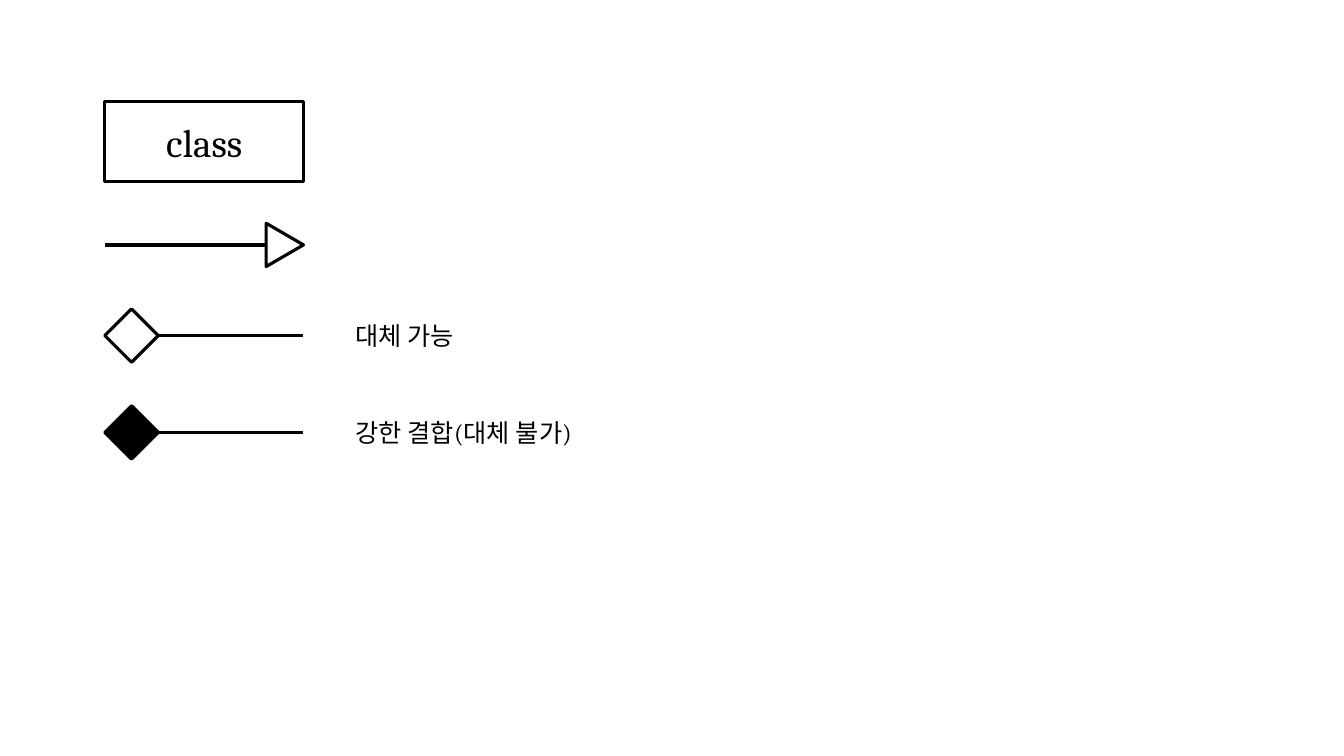
from dataclasses import dataclass

from pptx import Presentation
from pptx.dml.color import RGBColor as Rgb
from pptx.enum.shapes import MSO_CONNECTOR as Link, MSO_SHAPE as Kind
from pptx.enum.text import MSO_ANCHOR as Anchor, PP_ALIGN as Align
from pptx.oxml.ns import qn
from pptx.util import Inches, Pt
from lxml.etree import SubElement


@dataclass(frozen=True)
class Theme:
    ink: Rgb = Rgb(0, 0, 0)
    paper: Rgb = Rgb(255, 255, 255)
    font: str = "Cambria"
    title: Pt = Pt(28)
    label: Pt = Pt(18)
    line: Pt = Pt(2.25)


THEME = Theme()
LEFT, WIDTH = 1.04, 1.97


def add_text(frame, text, size):
    para = frame.paragraphs[0]
    para.text = text
    para.font.name = THEME.font
    para.font.size = size
    para.font.color.rgb = THEME.ink
    return para


def add_form(slide, kind, box, fill):
    form = slide.shapes.add_shape(kind, *map(Inches, box))
    form.shadow.inherit = False
    form.fill.solid()
    form.fill.fore_color.rgb = fill
    form.line.color.rgb = THEME.ink
    form.line.width = THEME.line
    return form


def add_line(slide, start, end, mid):
    line = slide.shapes.add_connector(
        Link.STRAIGHT, Inches(start), Inches(mid), Inches(end), Inches(mid))
    line.line.color.rgb = THEME.ink
    line.line.width = THEME.line
    SubElement(line._element.spPr, qn("a:effectLst"))


def add_class(slide, box):
    form = add_form(slide, Kind.RECTANGLE, box, THEME.paper)
    form.text_frame.vertical_anchor = Anchor.MIDDLE
    para = add_text(form.text_frame, "class", THEME.title)
    para.alignment = Align.CENTER


def add_arrow(slide, left, mid, width):
    base, tall = 0.43, 0.37
    center = left + width - tall / 2
    add_line(slide, left, left + width - tall, mid)
    box = center - base / 2, mid - tall / 2, base, tall
    head = add_form(slide, Kind.ISOSCELES_TRIANGLE, box, THEME.paper)
    head.rotation = 90


def add_bond(slide, left, mid, width, fill, text):
    size = 0.53
    box = left, mid - size / 2, size, size
    add_form(slide, Kind.DIAMOND, box, fill)
    add_line(slide, left + size, left + width, mid)
    area = left + width + 0.42, mid - 0.2, 2.88, 0.4
    label = slide.shapes.add_textbox(*map(Inches, area))
    label.text_frame.word_wrap = True
    add_text(label.text_frame, text, THEME.label)


def main():
    deck = Presentation()
    deck.slide_width, deck.slide_height = Inches(13.33), Inches(7.5)
    slide = deck.slides.add_slide(deck.slide_layouts[6])
    add_class(slide, (LEFT, 1.01, WIDTH, 0.79))
    add_arrow(slide, LEFT, 2.43, WIDTH)
    add_bond(slide, LEFT, 3.33, WIDTH, THEME.paper, "대체 가능")
    add_bond(slide, LEFT, 4.29, WIDTH, THEME.ink, "강한 결합(대체 불가)")
    deck.save("out.pptx")


if __name__ == "__main__":
    main()
